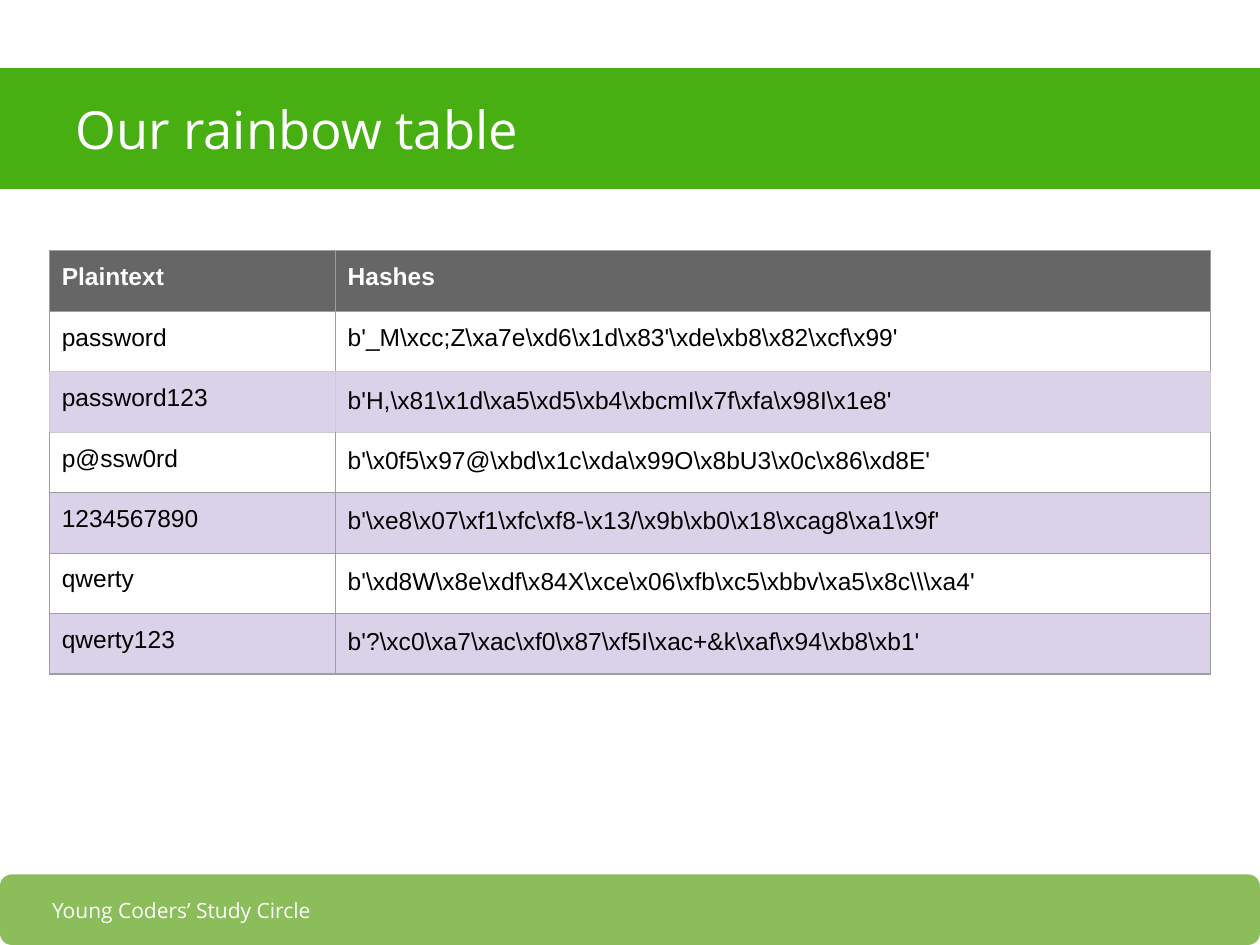
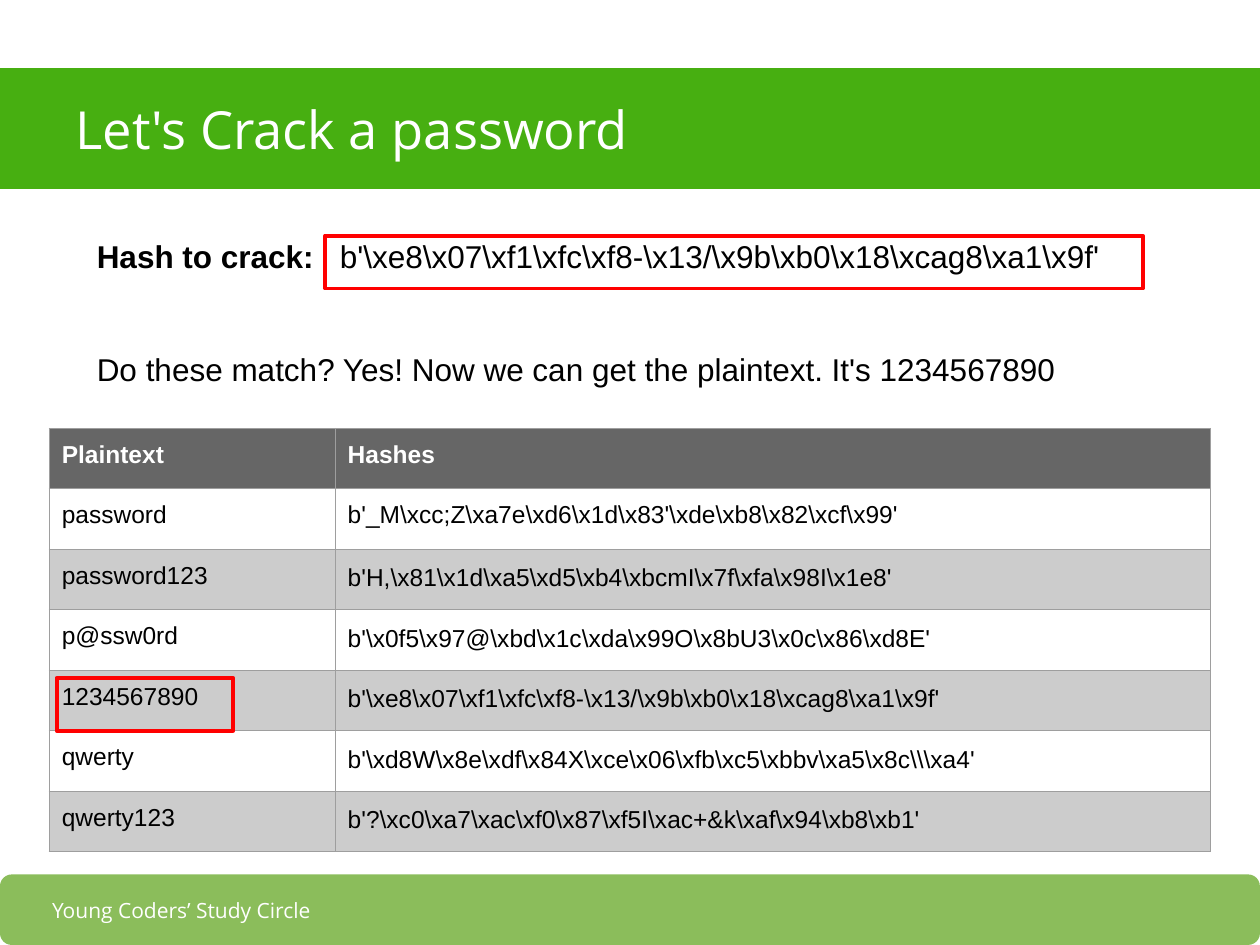
from lxml import etree
from pptx import Presentation
from pptx.dml.color import RGBColor
from pptx.enum.shapes import MSO_SHAPE
from pptx.enum.text import MSO_ANCHOR, PP_ALIGN
from pptx.oxml.ns import qn
from pptx.util import Inches, Pt

RECTANGLE = MSO_SHAPE.RECTANGLE
ROUNDED = MSO_SHAPE.ROUNDED_RECTANGLE
TOP, MIDDLE = MSO_ANCHOR.TOP, MSO_ANCHOR.MIDDLE
LEFT, CENTER = PP_ALIGN.LEFT, PP_ALIGN.CENTER

WHITE, BLACK, RED = "FFFFFF", "000000", "FF0000"
BAND_GREEN, FOOTER_GREEN = "47AF11", "8BBD5B"
HEADER_GRAY, LILAC, LIGHT_GRAY = "666666", "D9D2E9", "CCCCCC"
GRID_GRAY = "9E9E9E"

TITLE = {"name": "Open Sans", "size": Pt(30), "color": WHITE}
FOOTER = {"name": "Open Sans", "size": Pt(12), "color": WHITE}
BODY = {"name": "Arial", "size": Pt(18), "color": BLACK, "bold": False}
CELL = BODY | {"size": Pt(14)}
HEADER = CELL | {"color": WHITE, "bold": True}

TABLE_LEFT, ROW_HEIGHT, COLUMNS = 0.39, 0.48, (2.27, 6.95)
TARGET_ROW = 4
RAINBOW = [
    ("Plaintext", "Hashes"),
    ("password", r"b'_M\xcc;Z\xa7e\xd6\x1d\x83'\xde\xb8\x82\xcf\x99'"),
    ("password123", r"b'H,\x81\x1d\xa5\xd5\xb4\xbcmI\x7f\xfa\x98I\x1e8'"),
    ("p@ssw0rd", r"b'\x0f5\x97@\xbd\x1c\xda\x99O\x8bU3\x0c\x86\xd8E'"),
    ("1234567890", r"b'\xe8\x07\xf1\xfc\xf8-\x13/\x9b\xb0\x18\xcag8\xa1\x9f'"),
    ("qwerty", r"b'\xd8W\x8e\xdf\x84X\xce\x06\xfb\xc5\xbbv\xa5\x8c\\\xa4'"),
    ("qwerty123", r"b'?\xc0\xa7\xac\xf0\x87\xf5I\xac+&k\xaf\x94\xb8\xb1'"),
]


def paint(target, color):
    target.solid()
    target.fore_color.rgb = RGBColor.from_string(color)


def style(font, look):
    for key, value in look.items():
        if key == "color":
            paint(font.fill, value)
        else:
            setattr(font, key, value)


def write(paragraph, text, look):
    run = paragraph.add_run()
    run.text = text
    style(run.font, look)


def set_margins(holder, top=0.1, bottom=0.1):
    margins = {"left": 0.1, "top": top, "right": 0.1, "bottom": bottom}
    for side, length in margins.items():
        setattr(holder, f"margin_{side}", Inches(length))


def add_text_area(slide, place, anchor=TOP):
    frame = slide.shapes.add_textbox(*map(Inches, place)).text_frame
    frame.word_wrap = True
    frame.vertical_anchor = anchor
    set_margins(frame)
    return frame


def add_label(slide, place, text, look, align):
    paragraph = add_text_area(slide, place, MIDDLE).paragraphs[0]
    paragraph.alignment = align
    write(paragraph, text, look)


def add_band(slide, place, color, outline=RECTANGLE):
    band = slide.shapes.add_shape(outline, *map(Inches, place))
    band.shadow.inherit = False
    paint(band.fill, color)
    band.line.fill.background()


def add_highlight(slide, place):
    highlight = slide.shapes.add_shape(RECTANGLE, *map(Inches, place))
    highlight.shadow.inherit = False
    highlight.fill.background()
    paint(highlight.line.fill, RED)
    highlight.line.width = Pt(2.25)


def add_branded_slide(deck, title):
    slide = deck.slides.add_slide(deck.slide_layouts[6])
    add_band(slide, (0, 6.94, 10, 0.56), FOOTER_GREEN, ROUNDED)
    add_label(slide, (0, 7.03, 2.88, 0.38), "Young Coders’ Study Circle", FOOTER, CENTER)
    add_band(slide, (-0.07, 0.54, 10.12, 0.96), BAND_GREEN)
    add_label(slide, (0.5, 0.54, 9, 0.96), title, TITLE, LEFT)
    return slide


def set_borders(cell, colors):
    properties = cell._tc.get_or_add_tcPr()
    for side, color in colors.items():
        edge = etree.SubElement(properties, qn(f"a:ln{side}"), w=str(Pt(0.75)))
        fill = etree.SubElement(edge, qn("a:solidFill"))
        etree.SubElement(fill, qn("a:srgbClr"), val=color)


def border_colors(row, faint_row):
    neighbours = {"L": row, "R": row, "T": row - 1, "B": row + 1}
    return {
        side: LIGHT_GRAY if faint_row in (row, neighbour) else GRID_GRAY
        for side, neighbour in neighbours.items()
    }


def add_rainbow_table(slide, top, stripe, faint_row=None):
    place = (TABLE_LEFT, top, sum(COLUMNS), ROW_HEIGHT * len(RAINBOW))
    table = slide.shapes.add_table(
        len(RAINBOW), len(COLUMNS), *map(Inches, place)
    ).table
    table.first_row = table.horz_banding = False
    for column, width in zip(table.columns, COLUMNS):
        column.width = Inches(width)
    for row, entry in enumerate(RAINBOW):
        table.rows[row].height = Inches(ROW_HEIGHT)
        background = HEADER_GRAY if row == 0 else WHITE if row % 2 else stripe
        for column, text in enumerate(entry):
            cell = table.cell(row, column)
            if column == 1 and row > 1:
                set_margins(cell, 0.12, 0)
            else:
                set_margins(cell)
            set_borders(cell, border_colors(row, faint_row))
            paint(cell.fill, background)
            write(cell.text_frame.paragraphs[0], text, CELL if row else HEADER)


def add_tab_stop(paragraph, position):
    stops = etree.SubElement(paragraph._p.get_or_add_pPr(), qn("a:tabLst"))
    etree.SubElement(stops, qn("a:tab"), pos=str(Inches(position)), algn="l")


def add_question(slide):
    plaintext, target_hash = RAINBOW[TARGET_ROW]
    frame = add_text_area(slide, (0.67, 1.78, 8.66, 1.41))
    hash_line = frame.paragraphs[0]
    add_tab_stop(hash_line, 1.93)
    write(hash_line, "Hash to crack:", BODY | {"bold": True})
    write(hash_line, "\t" + target_hash, BODY)
    answer = frame.add_paragraph()
    answer.space_before = Pt(43)
    write(
        answer,
        f"Do these match? Yes! Now we can get the plaintext. It's {plaintext}",
        BODY,
    )


def main():
    deck = Presentation()
    deck.slide_width, deck.slide_height = Inches(10), Inches(7.5)

    lookup = add_branded_slide(deck, "Our rainbow table")
    add_rainbow_table(lookup, 1.99, LILAC, faint_row=2)

    crack = add_branded_slide(deck, "Let's Crack a password")
    table_top = 3.4
    add_rainbow_table(crack, table_top, LIGHT_GRAY)
    add_question(crack)
    add_highlight(crack, (2.58, 1.87, 6.49, 0.42))
    match_top = table_top + TARGET_ROW * ROW_HEIGHT + 0.06
    add_highlight(crack, (TABLE_LEFT + 0.06, match_top, 1.4, 0.42))

    deck.save("out.pptx")


if __name__ == "__main__":
    main()
